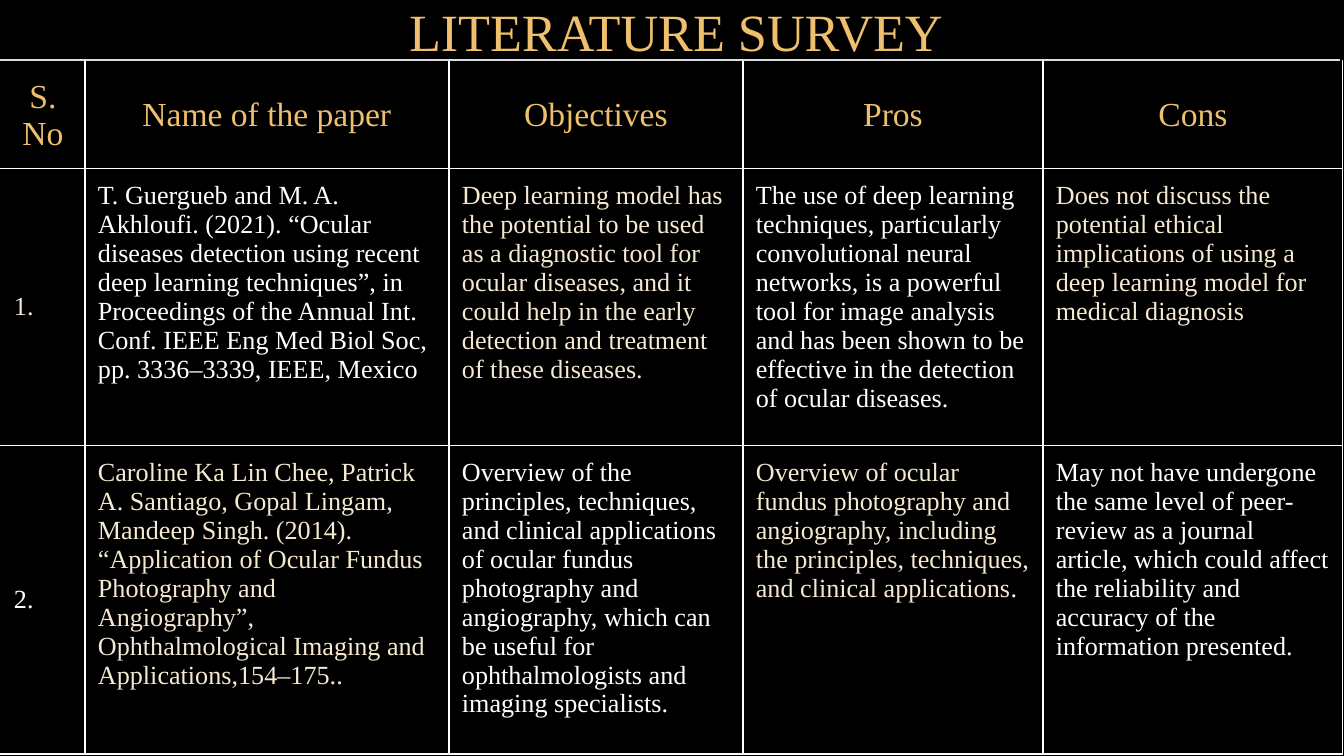
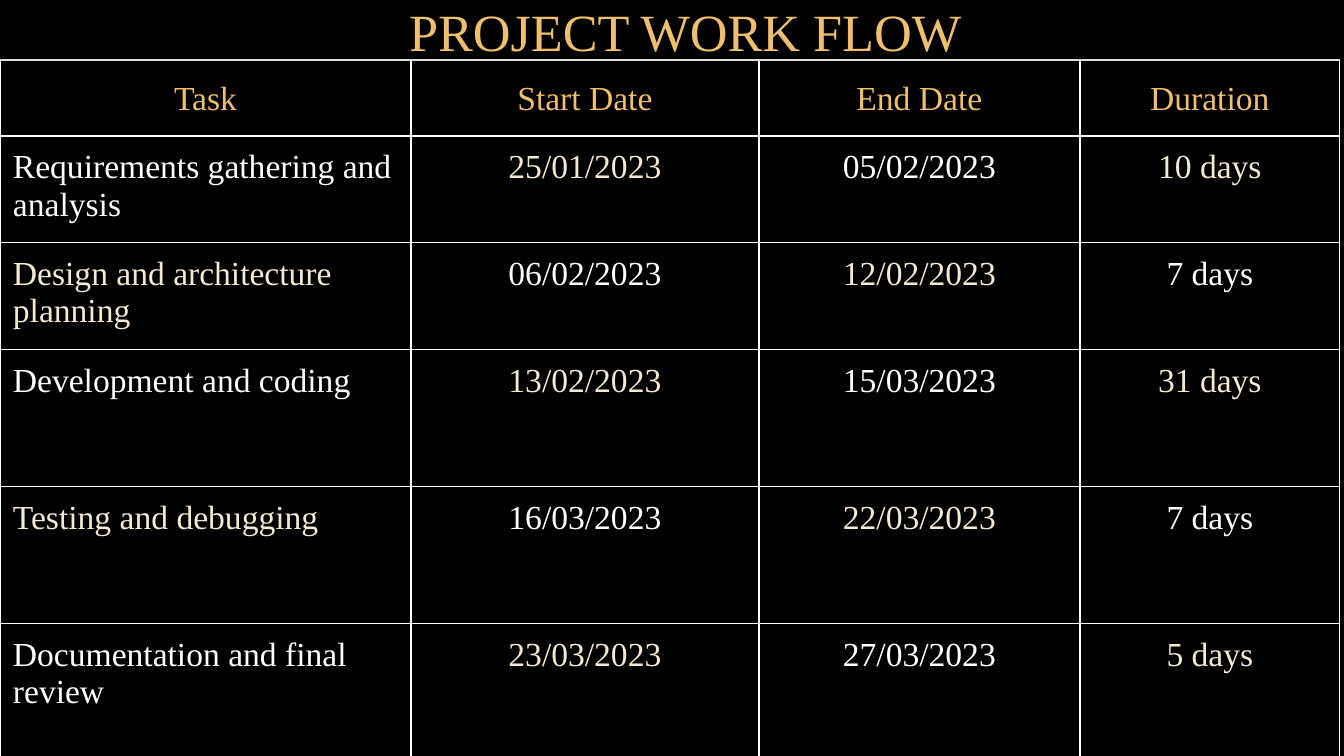
from lxml import etree
from pptx import Presentation
from pptx.dml.color import RGBColor
from pptx.enum.shapes import MSO_CONNECTOR
from pptx.enum.text import MSO_ANCHOR, PP_ALIGN
from pptx.oxml.ns import qn
from pptx.util import Pt

CENTER, LEFT, JUSTIFY = PP_ALIGN.CENTER, PP_ALIGN.LEFT, PP_ALIGN.JUSTIFY
MIDDLE, TOP, BOTTOM = MSO_ANCHOR.MIDDLE, MSO_ANCHOR.TOP, MSO_ANCHOR.BOTTOM
STRAIGHT = MSO_CONNECTOR.STRAIGHT

FONT = "Times New Roman"
COLORS = {
    "black": "000000",
    "gold": "EEBF6C",
    "cream": "F6E9D1",
    "white": "FFFFFF",
    "rule": "DDDDDD",
}

SLIDES = [
    {
        "title": "LITERATURE SURVEY",
        "box": (1, 62, 695),
        "cols": [84, 364, 294, 300, 300],
        "rows": [77, 109, 191],
        "size": 14,
        "first_tone": "cream",
        "left_edge": ("black", 2.25),
        "first_col": (JUSTIFY, MIDDLE),
        "other_cols": (LEFT, TOP),
        "table": [
            ["S. No", "Name of the paper", "Objectives", "Pros", "Cons"],
            [
                "1.",
                "T. Guergueb and M. A. Akhloufi. (2021). “Ocular diseases detection using recent "
                "deep learning techniques”, in Proceedings of the Annual Int. Conf. IEEE Eng Med "
                "Biol Soc, pp. 3336–3339, IEEE, Mexico",
                "Deep learning model has the potential to be used as a diagnostic tool for ocular "
                "diseases, and it could help in the early detection and treatment of these diseases.",
                "The use of deep learning techniques, particularly convolutional neural networks, "
                "is a powerful tool for image analysis and has been shown to be effective in the "
                "detection of ocular diseases.",
                "Does not discuss the potential ethical implications of using a deep learning "
                "model for medical diagnosis",
            ],
            [
                "2.",
                "Caroline Ka Lin Chee, Patrick A. Santiago, Gopal Lingam, Mandeep Singh. (2014). "
                "“Application of Ocular Fundus Photography and Angiography”, Ophthalmological "
                "Imaging and Applications,154–175..",
                "Overview of the principles, techniques, and clinical applications of ocular "
                "fundus photography and angiography, which can be useful for ophthalmologists and "
                "imaging specialists.",
                ("Overview of ocular fundus photography and angiography, including the "
                 "principles, techniques, and clinical applications", "."),
                "May not have undergone the same level of peer-review as a journal article, which "
                "could affect the reliability and accuracy of the information presented.",
            ],
        ],
    },
    {
        "title": "PROJECT WORK FLOW",
        "box": (0, 62, 702),
        "cols": [411, 348, 321, 260],
        "rows": [74, 105, 103, 137, 137, 137],
        "size": 18,
        "first_tone": "white",
        "left_edge": ("white", 0.75),
        "first_col": (LEFT, TOP),
        "other_cols": (CENTER, TOP),
        "table": [
            ["Task", "Start Date", "End Date", "Duration"],
            ["Requirements gathering and analysis", "25/01/2023", "05/02/2023", "10 days"],
            ["Design and architecture planning", "06/02/2023", "12/02/2023", "7 days"],
            ["Development and coding", "13/02/2023", "15/03/2023", "31 days"],
            ["Testing and debugging", "16/03/2023", "22/03/2023", "7 days"],
            ["Documentation and final review", "23/03/2023", "27/03/2023", "5 days"],
        ],
    },
]


def px(n):
    return round(n * 914400 / 134.4)


def rgb(name):
    return RGBColor.from_string(COLORS[name])


def add_run(p, text, size, color):
    r = p.add_run()
    r.text = text
    for key, value in {"name": FONT, "size": Pt(size), "bold": False}.items():
        setattr(r.font, key, value)
    r.font.color.rgb = rgb(color)


def set_margins(target, top=13):
    margins = {"left": 13, "top": top, "right": 13, "bottom": 13}
    for side, value in margins.items():
        setattr(target, f"margin_{side}", px(value))


def add_title(s, text):
    tf = s.shapes.add_textbox(px(396), px(-3), px(593), px(78)).text_frame
    tf.word_wrap = True
    tf.vertical_anchor = BOTTOM
    set_margins(tf, top=0)
    add_run(tf.paragraphs[0], text, 28, "gold")


def add_rule(s):
    line = s.shapes.add_connector(STRAIGHT, px(-1), px(60), px(1340), px(60))
    line.line.color.rgb = rgb("rule")
    line.line.width = Pt(0.75)
    etree.SubElement(line._element.spPr, qn("a:effectLst"))


def set_borders(cell, edges):
    tcPr = cell._tc.get_or_add_tcPr()
    for side in "LRTB":
        color, width = edges.get(side, ("white", 0.75))
        ln = etree.SubElement(tcPr, qn(f"a:ln{side}"), w=str(Pt(width)))
        fill = etree.SubElement(ln, qn("a:solidFill"))
        etree.SubElement(fill, qn("a:srgbClr"), val=COLORS[color])


def add_grid(s, spec):
    left, top, height = spec["box"]
    data, cols, rows = spec["table"], spec["cols"], spec["rows"]
    frame = s.shapes.add_table(len(rows), len(cols), px(left), px(top), px(sum(cols)), px(height))
    table = frame.table
    table.first_row = table.horz_banding = False
    for column, width in zip(table.columns, cols):
        column.width = px(width)
    for row, row_height in zip(table.rows, rows):
        row.height = px(row_height)
    frame.height = px(height)

    first = spec["first_tone"]
    second = "white" if first == "cream" else "cream"
    for i, texts in enumerate(data):
        for j, text in enumerate(texts):
            cell = table.cell(i, j)
            edges = {}
            if i == 0:
                edges["T"] = ("black", 2.25)
            if j == 0:
                edges["L"] = spec["left_edge"]
            set_borders(cell, edges)
            cell.fill.background()
            set_margins(cell)
            p = cell.text_frame.paragraphs[0]
            if i == 0:
                p.alignment, cell.vertical_anchor = CENTER, MIDDLE
                add_run(p, text, 18, "gold")
                continue
            p.alignment, cell.vertical_anchor = spec["other_cols" if j else "first_col"]
            tones = (first, second) if (i + j) % 2 else (second, first)
            parts = text if isinstance(text, tuple) else (text,)
            for part, tone in zip(parts, tones):
                add_run(p, part, spec["size"], tone)


def main():
    prs = Presentation()
    prs.slide_width, prs.slide_height = px(1344), px(756)
    for spec in SLIDES:
        s = prs.slides.add_slide(prs.slide_layouts[6])
        s.background.fill.solid()
        s.background.fill.fore_color.rgb = rgb("black")
        add_title(s, spec["title"])
        add_grid(s, spec)
        add_rule(s)
    prs.save("out.pptx")


if __name__ == "__main__":
    main()
